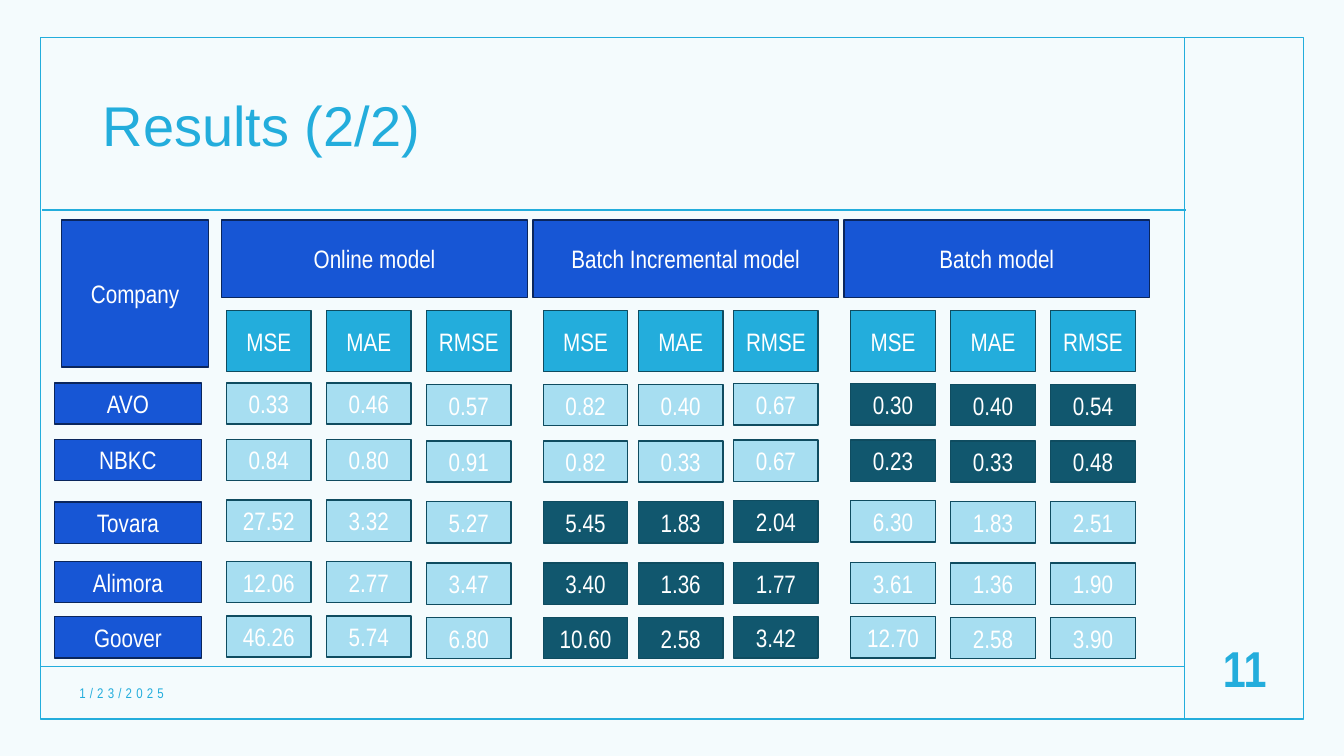
from dataclasses import dataclass

from lxml.etree import SubElement
from pptx import Presentation
from pptx.dml.color import RGBColor as RGB
from pptx.enum.shapes import MSO_CONNECTOR as CONN, MSO_SHAPE as SHAPE
from pptx.enum.text import MSO_ANCHOR as ANCHOR, MSO_AUTO_SIZE as FIT, PP_ALIGN as ALIGN
from pptx.oxml.ns import qn
from pptx.util import Cm, Pt


@dataclass(frozen=True)
class Theme:
    accent: str = "23ADDC"
    paper: str = "F4FBFD"
    white: str = "FFFFFF"
    header: str = "1756D5"
    header_edge: str = "0A265D"
    value: str = "A7DEF1"
    best: str = "11576E"
    edge: str = "0F4C60"
    title_font: str = "Arial"
    body_font: str = "Arial Narrow"
    title_size: int = 40
    number_size: int = 36
    cell_size: int = 18
    date_size: int = 10


class Deck:
    """Holds the theme and the current slide and draws each kind of element."""

    def __init__(self, theme):
        self.theme = theme
        self.prs = Presentation()
        self.prs.slide_width, self.prs.slide_height = Cm(33.87), Cm(19.05)
        self.slide = self.prs.slides.add_slide(self.prs.slide_layouts[5])
        fill = self.slide.background.fill
        fill.solid()
        fill.fore_color.rgb = RGB.from_string(theme.paper)

    def set_text(self, sp, text, size, color, font=None, align=ALIGN.CENTER, bold=False):
        tf = sp.text_frame
        tf.word_wrap = True
        tf.auto_size = FIT.NONE
        tf.vertical_anchor = ANCHOR.MIDDLE
        p = tf.paragraphs[0]
        p.text = text
        p.alignment = align
        p.font.name = font or self.theme.body_font
        p.font.size = Pt(size)
        p.font.bold = bold
        p.font.color.rgb = RGB.from_string(color)
        return p

    def title(self, text, x, y, w, h):
        sp = self.slide.shapes.title
        sp.left, sp.top, sp.width, sp.height = Cm(x), Cm(y), Cm(w), Cm(h)
        p = self.set_text(sp, text, self.theme.title_size, self.theme.accent,
                          self.theme.title_font, ALIGN.LEFT)
        p.line_spacing = 0.9

    def rect(self, x, y, w, h, edge, fill=None):
        sp = self.slide.shapes.add_shape(SHAPE.RECTANGLE, Cm(x), Cm(y), Cm(w), Cm(h))
        sp.shadow.inherit = False
        if fill:
            sp.fill.solid()
            sp.fill.fore_color.rgb = RGB.from_string(fill)
        else:
            sp.fill.background()
        sp.line.color.rgb = RGB.from_string(edge)
        sp.line.width = Pt(1)
        return sp

    def cell(self, text, x, y, w, h, fill, edge):
        sp = self.rect(x, y, w, h, edge, fill)
        self.set_text(sp, text, self.theme.cell_size, self.theme.white)

    def line(self, x1, y1, x2, y2):
        c = self.slide.shapes.add_connector(CONN.STRAIGHT, Cm(x1), Cm(y1), Cm(x2), Cm(y2))
        c.line.color.rgb = RGB.from_string(self.theme.accent)
        c.line.width = Pt(1)
        SubElement(c.element.spPr, qn("a:effectLst"))

    def label(self, text, x, y, w, h, size, align, bold=False, spacing=0):
        sp = self.slide.shapes.add_textbox(Cm(x), Cm(y), Cm(w), Cm(h))
        p = self.set_text(sp, text, size, self.theme.accent, align=align, bold=bold)
        if spacing:
            r = p.runs[0]
            r.font.size = Pt(size)
            r._r.find(qn("a:rPr")).set("spc", str(spacing * 100))

    def save(self):
        self.prs.save("out.pptx")


MODELS = [("Online model", 5.59, 5.71, 2.52),
          ("Batch Incremental model", 13.43, 13.69, 2.4),
          ("Batch model", 21.27, 21.44, 2.52)]
METRICS = ["MSE", "MAE", "RMSE"]
NUDGES = [0, 0, 0.04, 0.04, 0.04, 0.02, 0.02, 0.04, 0.04]
ROWS = [
    ("AVO", 9.65, 9.65, 2, "0.33 0.46 0.57 0.82 0.40 0.67 0.30 0.40 0.54"),
    ("NBKC", 11.07, 11.07, 2, "0.84 0.80 0.91 0.82 0.33 0.67 0.23 0.33 0.48"),
    ("Tovara", 12.65, 12.6, 1, "27.52 3.32 5.27 5.45 1.83 2.04 6.30 1.83 2.51"),
    ("Alimora", 14.15, 14.15, 1, "12.06 2.77 3.47 3.40 1.36 1.77 3.61 1.36 1.90"),
    ("Goover", 15.54, 15.52, 1, "46.26 5.74 6.80 10.60 2.58 3.42 12.70 2.58 3.90"),
]


def main():
    t = Theme()
    d = Deck(t)
    d.rect(1.02, 0.94, 31.83, 17.18, t.accent)
    d.line(29.85, 0.94, 29.85, 18.12)
    d.line(1.04, 16.79, 29.85, 16.79)
    d.line(1.07, 5.29, 29.88, 5.29)
    d.title("Results (2/2)", 2.34, 1.52, 26.47, 3.45)
    d.label("1/23/2025", 1.75, 17.07, 8.76, 0.79, t.date_size, ALIGN.LEFT, spacing=3)
    d.label("11", 30.05, 15.75, 2.64, 2.11, t.number_size, ALIGN.CENTER, bold=True)

    for name, left, _, _ in MODELS:
        d.cell(name, left, 5.54, 7.7, 1.96, t.header, t.header_edge)
    columns = [start + i * step for _, _, start, step in MODELS for i in range(len(METRICS))]
    for x, metric in zip(columns, METRICS * len(MODELS)):
        d.cell(metric, x, 7.82, 2.13, 1.55, t.accent, t.edge)

    d.cell("Company", 1.55, 5.54, 3.71, 3.71, t.header, t.header_edge)
    for company, top, value_top, best, values in ROWS:
        d.cell(company, 1.37, top, 3.71, 1.04, t.header, t.header_edge)
        for i, value in enumerate(values.split()):
            fill = t.best if i // len(METRICS) == best else t.value
            d.cell(value, columns[i], value_top + NUDGES[i], 2.13, 1.04, fill, t.edge)
    d.save()


if __name__ == "__main__":
    main()
